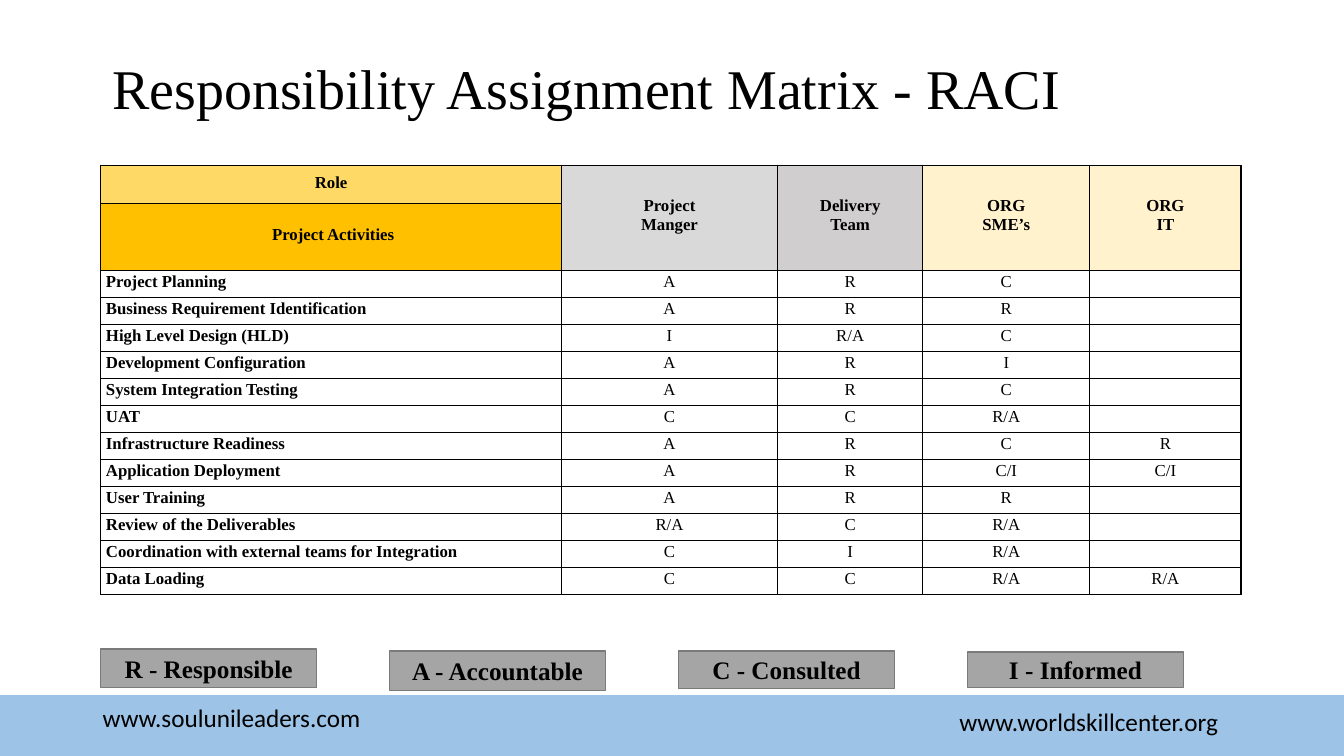
from dataclasses import dataclass

from lxml.etree import SubElement
from pptx import Presentation
from pptx.dml.color import RGBColor
from pptx.enum.shapes import MSO_SHAPE as SHAPE
from pptx.enum.text import MSO_ANCHOR as ANCHOR, MSO_AUTO_SIZE as AUTO, PP_ALIGN as ALIGN
from pptx.oxml.ns import qn
from pptx.util import Pt


@dataclass(frozen=True)
class Theme:
    serif: str = "Times New Roman"
    sans: str = "Calibri"
    title_size: int = 40
    label_size: int = 18
    table_size: int = 12
    text: str = "000000"
    footer: str = "9DC3E6"
    legend: str = "A5A5A5"
    legend_line: str = "7A7A7A"
    role: str = "FFD966"
    activities: str = "FFC000"
    manager: str = "D9D9D9"
    delivery: str = "D0CECE"
    client: str = "FFF2CC"


T = Theme()

COL_WIDTHS = [329, 154.5, 103.7, 119.3, 108]
HEADER_HEIGHTS = [27.4, 47.5]
ROW_HEIGHT = 19.32
ROLES = [
    ("Project\nManger", T.manager),
    ("Delivery\nTeam", T.delivery),
    ("ORG\nSME’s", T.client),
    ("ORG\nIT", T.client),
]
ACTIVITIES = [
    ("Project Planning", "A", "R", "C", ""),
    ("Business Requirement Identification", "A", "R", "R", ""),
    ("High Level Design (HLD)", "I", "R/A", "C", ""),
    ("Development Configuration", "A", "R", "I", ""),
    ("System Integration Testing", "A", "R", "C", ""),
    ("UAT", "C", "C", "R/A", ""),
    ("Infrastructure Readiness", "A", "R", "C", "R"),
    ("Application Deployment", "A", "R", "C/I", "C/I"),
    ("User Training", "A", "R", "R", ""),
    ("Review of the Deliverables", "R/A", "C", "R/A", ""),
    ("Coordination with external teams for Integration", "C", "I", "R/A", ""),
    ("Data Loading", "C", "C", "R/A", "R/A"),
]
LEGEND = [
    ("R - Responsible", 463.7, 27.4),
    ("A - Accountable", 465.1, 28.1),
    ("C - Consulted", 465.1, 26.6),
    ("I - Informed", 465.8, 25.2),
]
LEGEND_LEFT, LEGEND_WIDTH, LEGEND_STEP = 72, 154, 206.4


def rgb(color):
    return RGBColor.from_string(color)


def write(tf, text, size, font=T.serif, bold=False, align=ALIGN.CENTER):
    tf.text = text
    for p in tf.paragraphs:
        p.alignment = align
        for r in p.runs:
            r.font.name = font
            r.font.size = Pt(size)
            r.font.bold = bold
            r.font.color.rgb = rgb(T.text)


def add_title(s, text):
    title = s.shapes.title
    title.left, title.top, title.width, title.height = Pt(0.7), Pt(25.2), Pt(836), Pt(65.5)
    tf = title.text_frame
    write(tf, text, T.title_size)
    tf.auto_size = AUTO.NONE
    tf.vertical_anchor = ANCHOR.BOTTOM
    tf.paragraphs[0].line_spacing = 0.9


def add_box(s, left, top, width, height, fill, line):
    sp = s.shapes.add_shape(SHAPE.RECTANGLE, Pt(left), Pt(top), Pt(width), Pt(height))
    sp.shadow.inherit = False
    sp.fill.solid()
    sp.fill.fore_color.rgb = rgb(fill)
    sp.line.color.rgb = rgb(line)
    sp.line.width = Pt(1)
    return sp


def add_address(s, text, left, top):
    sp = s.shapes.add_textbox(Pt(left), Pt(top), Pt(216), Pt(28.8))
    tf = sp.text_frame
    tf.word_wrap = True
    tf.vertical_anchor = ANCHOR.MIDDLE
    write(tf, text, T.label_size, T.sans, align=ALIGN.LEFT)


def add_legend(s):
    for i, (label, top, height) in enumerate(LEGEND):
        left = LEGEND_LEFT + i * LEGEND_STEP
        sp = add_box(s, left, top, LEGEND_WIDTH, height, T.legend, T.legend_line)
        sp.text_frame.vertical_anchor = ANCHOR.MIDDLE
        write(sp.text_frame, label, T.label_size, bold=True)


def add_borders(cell):
    tc_pr = cell._tc.get_or_add_tcPr()
    for side in ("a:lnL", "a:lnR", "a:lnT", "a:lnB"):
        ln = SubElement(tc_pr, qn(side), w=str(Pt(1)))
        SubElement(SubElement(ln, qn("a:solidFill")), qn("a:srgbClr"), val=T.text)


def format_cell(cell):
    add_borders(cell)
    cell.fill.background()
    cell.vertical_anchor = ANCHOR.MIDDLE
    cell.margin_left = cell.margin_top = cell.margin_right = Pt(0.7)
    cell.margin_bottom = Pt(3.6)
    p = cell.text_frame.paragraphs[0]
    SubElement(p._p, qn("a:endParaRPr"), sz=str(T.table_size * 100))


def write_header(cell, text, fill):
    write(cell.text_frame, text, T.table_size, bold=True)
    cell.fill.solid()
    cell.fill.fore_color.rgb = rgb(fill)


def add_matrix(s):
    heights = HEADER_HEIGHTS + [ROW_HEIGHT] * len(ACTIVITIES)
    frame = s.shapes.add_table(len(heights), len(COL_WIDTHS), Pt(72), Pt(118.1),
                               Pt(sum(COL_WIDTHS)), Pt(sum(heights)))
    table = frame.table
    table.first_row = table.horz_banding = False
    for column, width in zip(table.columns, COL_WIDTHS):
        column.width = Pt(width)
    for row, height in zip(table.rows, heights):
        row.height = Pt(height)
    for cell in table.iter_cells():
        format_cell(cell)

    write_header(table.cell(0, 0), "Role", T.role)
    write_header(table.cell(1, 0), "Project Activities", T.activities)
    table.cell(1, 0).margin_left = Pt(3.7)
    for c, (role, fill) in enumerate(ROLES, 1):
        table.cell(0, c).merge(table.cell(1, c))
        write_header(table.cell(0, c), role, fill)

    for r, (activity, *codes) in enumerate(ACTIVITIES, len(HEADER_HEIGHTS)):
        name = table.cell(r, 0)
        name.margin_left = Pt(3.7)
        write(name.text_frame, activity, T.table_size, bold=True, align=ALIGN.LEFT)
        for c, code in enumerate(codes, 1):
            if code:
                write(table.cell(r, c).text_frame, code, T.table_size)


def main():
    prs = Presentation()
    prs.slide_width, prs.slide_height = Pt(960), Pt(540)
    s = prs.slides.add_slide(prs.slide_layouts[5])
    add_box(s, -0.5, 496.8, 960.5, 43.2, T.footer, T.footer)
    add_address(s, "www.soulunileaders.com", 66.2, 498.2)
    add_address(s, "www.worldskillcenter.org", 678.2, 501.1)
    add_title(s, "Responsibility Assignment Matrix - RACI")
    add_legend(s)
    add_matrix(s)
    prs.save("out.pptx")


if __name__ == "__main__":
    main()
